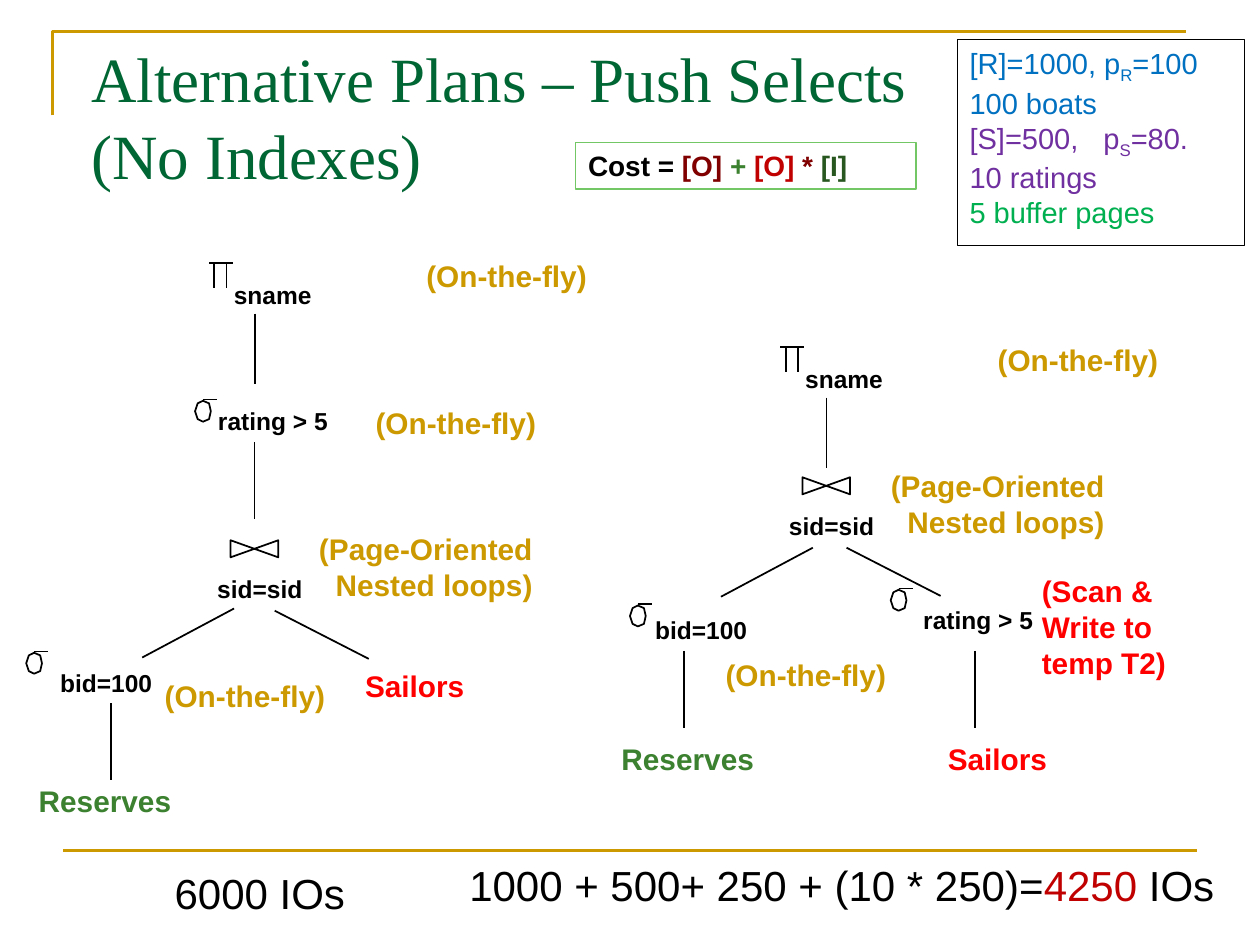
from lxml import etree
from pptx import Presentation
from pptx.dml.color import RGBColor
from pptx.enum import shapes as sh, text as tx
from pptx.oxml.ns import qn
from pptx.util import Pt


class Theme:
    sans, serif = "Arial", "Times New Roman"
    black, gold, title = "000000", "CC9900", "006633"
    red, green, leaf, forest = "FF0000", "3B812F", "73C764", "28571F"
    blue, violet, mint = "0070C0", "7030A0", "00B050"
    maroon, brick = "800000", "C00000"
    head, total, info, cost, note, node = 36, 24, 16.6, 16, 17, 14
    rule, edge, frame = 1.5, 1, 0.75


FLY = "(On-the-fly)"
WIDTH = {"sname": 59, "rating > 5": 77, "sid=sid": 63, "bid=100": 70.5,
         "Sailors": 71, "Reserves": 90, FLY: 106,
         "(Page-Oriented": 140, "(Scan &": 90}


def style(obj, **vals):
    for key, val in vals.items():
        setattr(obj, key, val)


def paint(font, color, size, bold=False, name=Theme.sans):
    style(font, size=Pt(size), bold=bold, name=name)
    font.color.rgb = RGBColor.from_string(color)


def stroke(line, color, width):
    line.color.rgb = RGBColor.from_string(color)
    line.width = Pt(width)


def write(frame, rows, size, bold=False, align=tx.PP_ALIGN.LEFT, tab=None, **vals):
    """Fill a frame; each row is a list of (text, color[, baseline]) runs."""
    style(frame, **vals)
    for i, row in enumerate(rows):
        para = frame.add_paragraph() if i else frame.paragraphs[0]
        para.alignment = align
        if tab and any("\t" in part[0] for part in row):
            tabs = etree.SubElement(para._p.get_or_add_pPr(), qn("a:tabLst"))
            etree.SubElement(tabs, qn("a:tab"), pos=str(Pt(tab)), algn="l")
        for words, color, *base in row:
            run = para.add_run()
            run.text = words
            paint(run.font, color, size, bold)
            if base:
                run._r.get_or_add_rPr().set("baseline", str(base[0]))


def link(host, x1, y1, x2, y2, color=Theme.black, width=Theme.edge):
    line = host.add_connector(sh.MSO_CONNECTOR.STRAIGHT, Pt(x1), Pt(y1), Pt(x2), Pt(y2))
    stroke(line.line, color, width)
    etree.SubElement(line._element.spPr, qn("a:effectLst"))


def trace(host, x, y, dots, close=True, color=Theme.black, width=Theme.edge):
    """Draw an outline through dots given relative to (x, y)."""
    first, *rest = [(Pt(x + dx), Pt(y + dy)) for dx, dy in dots]
    pen = host.build_freeform(*first)
    pen.add_line_segments(rest, close=close)
    form = pen.convert_to_shape()
    form.fill.background()
    form.shadow.inherit = False
    stroke(form.line, color, width)


def label(host, x, y, lines, color=Theme.black, size=Theme.node, **vals):
    high = 1.2 * size * len(lines) + 7.2
    box = host.add_textbox(Pt(x), Pt(y), Pt(WIDTH[lines[0]]), Pt(high))
    write(box.text_frame, [[(words, color)] for words in lines], size, True,
          word_wrap=False, **vals)


def note(host, x, y, *lines, color=Theme.gold, **vals):
    label(host, x, y, lines, color, Theme.note, **vals)


def sigma(host, x, y):
    trace(host, x, y, [(9, 6), (8, 1.5), (4.5, 0), (1.5, 1.5), (0, 6),
                       (1.5, 10.5), (4.5, 12), (8, 10.5)])
    link(host, x + 4.5, y - 0.75, x + 12.5, y - 0.75)


def root(host, x, y):
    """Projection on sname, its note and the edge below it."""
    link(host, x, y, x + 13.5, y)
    for dx in (3, 10):
        link(host, x + dx, y + 0.75, x + dx, y + 14.5)
    label(host, x + 7, y + 6, ["sname"])
    note(host, x + 117, y - 6.25, FLY)
    link(host, x + 26.25, y + 29, x + 26.25, y + 69.25)


def join(host, x, y, left):
    """Join on sid with its note and two branches; left starts the left one."""
    trace(host, x, y, [(0, 0), (27.25, 9.75), (27.25, 0), (0, 9.75)])
    label(host, x - 14.75, y + 15.75, ["sid=sid"])
    note(host, x + 39.75, y - 8.75, "(Page-Oriented", "Nested loops)",
         align=tx.PP_ALIGN.RIGHT)
    dx, dy = left
    link(host, x + dx, y + dy, x + dx - 52.5, y + dy + 28)
    link(host, x + 25.25, y + 40.25, x + 79, y + 67.75)


def late(host, x, y):
    """Plan that selects on rating after the join."""
    root(host, x + 104.5, y + 6.25)
    sigma(host, x + 96.5, y + 85)
    label(host, x + 102.5, y + 84.25, ["rating > 5"])
    note(host, x + 192.5, y + 84, FLY)
    link(host, x + 130.5, y + 108.75, x + 130.5, y + 152.5)
    join(host, x + 116.75, y + 164.75, (2, 39))
    sigma(host, x, y + 229)
    label(host, x + 12.25, y + 234, ["bid=100"])
    note(host, x + 72, y + 239.75, FLY)
    note(host, x + 186.5, y + 234, "Sailors", color=Theme.red)
    link(host, x + 48.5, y + 257.75, x + 48.5, y + 301.75)
    note(host, x, y + 300, "Reserves", color=Theme.green)


def early(host, x, y):
    """Plan that selects on both tables before the join."""
    root(host, x + 98, y + 6.25)
    join(host, x + 110.5, y + 80.75, (6, 40.25))
    sigma(host, x + 12, y + 154)
    label(host, x + 19.25, y + 155.75, ["bid=100"])
    sigma(host, x + 161, y + 145)
    label(host, x + 172.5, y + 150, ["rating > 5"])
    note(host, x + 240.25, y + 132, "(Scan &", "Write to", "temp T2)", color=Theme.red)
    note(host, x + 59.5, y + 180, FLY)
    for dx in (43, 209.25):
        link(host, x + dx, y + 180, x + dx, y + 224)
    note(host, x, y + 227.75, "Reserves", color=Theme.green)
    note(host, x + 186.5, y + 227.75, "Sailors", color=Theme.red)


def panel(host, x, y, wide, high, color, rows, size, **vals):
    box = host.add_shape(sh.MSO_SHAPE.RECTANGLE, Pt(x), Pt(y), Pt(wide), Pt(high))
    box.fill.background()
    box.shadow.inherit = False
    stroke(box.line, color, Theme.frame)
    write(box.text_frame, rows, size, word_wrap=True,
          vertical_anchor=tx.MSO_ANCHOR.TOP, **vals)


def total(host, x, y, wide, *runs):
    box = host.add_textbox(Pt(x), Pt(y), Pt(wide), Pt(36))
    write(box.text_frame, [runs], Theme.total, align=tx.PP_ALIGN.CENTER,
          word_wrap=False, vertical_anchor=tx.MSO_ANCHOR.MIDDLE)


def heading(slide, x, y, wide, high):
    head = slide.shapes.title
    style(head, left=Pt(x), top=Pt(y), width=Pt(wide), height=Pt(high))
    frame = head.text_frame
    frame.text = "Alternative Plans – Push Selects\v(No Indexes)"
    style(frame, word_wrap=True, auto_size=tx.MSO_AUTO_SIZE.NONE,
          vertical_anchor=tx.MSO_ANCHOR.MIDDLE)
    para = frame.paragraphs[0]
    style(para, alignment=tx.PP_ALIGN.LEFT, line_spacing=Pt(44))
    for run in para.runs:
        paint(run.font, Theme.title, Theme.head, name=Theme.serif)


def main():
    t = Theme
    deck = Presentation()
    style(deck, slide_width=Pt(720), slide_height=Pt(540))
    slide = deck.slides.add_slide(deck.slide_layouts[5])
    host = slide.shapes

    trace(host, 30, 18, [(0, 48), (0, 0), (648, 0)], False, t.gold, t.rule)
    link(host, 36, 486, 684, 486, t.gold, t.rule)
    heading(slide, 45, 22.5, 612, 87)

    early(host.add_group_shape().shapes, 348, 192)
    late(host.add_group_shape().shapes, 15, 144)

    total(host, 73.5, 492, 150, ("6000 IOs", t.black))
    total(host, 256, 487.5, 450, ("1000 + 500+ 250 + (10 * 250)=", t.black),
          ("4250", t.brick), (" IOs", t.black))

    panel(host, 547, 22.5, 164, 118, t.black, [
        [("[R]=1000, p", t.blue), ("R", t.blue, -25000), ("=100", t.blue)],
        [("100 boats", t.blue)],
        [("[S]=500,\tp", t.violet), ("S", t.violet, -25000), ("=80.", t.violet)],
        [("10 ratings", t.violet)],
        [("5 buffer pages", t.mint)]], t.info, tab=76.5)
    panel(host, 329, 81.5, 194.5, 26.5, t.leaf, [
        [("Cost = ", t.black), ("[O]", t.maroon), (" + ", t.green),
         ("[O] ", t.brick), ("* ", t.maroon), ("[I]", t.forest)]], t.cost, bold=True)

    deck.save("out.pptx")


if __name__ == "__main__":
    main()
